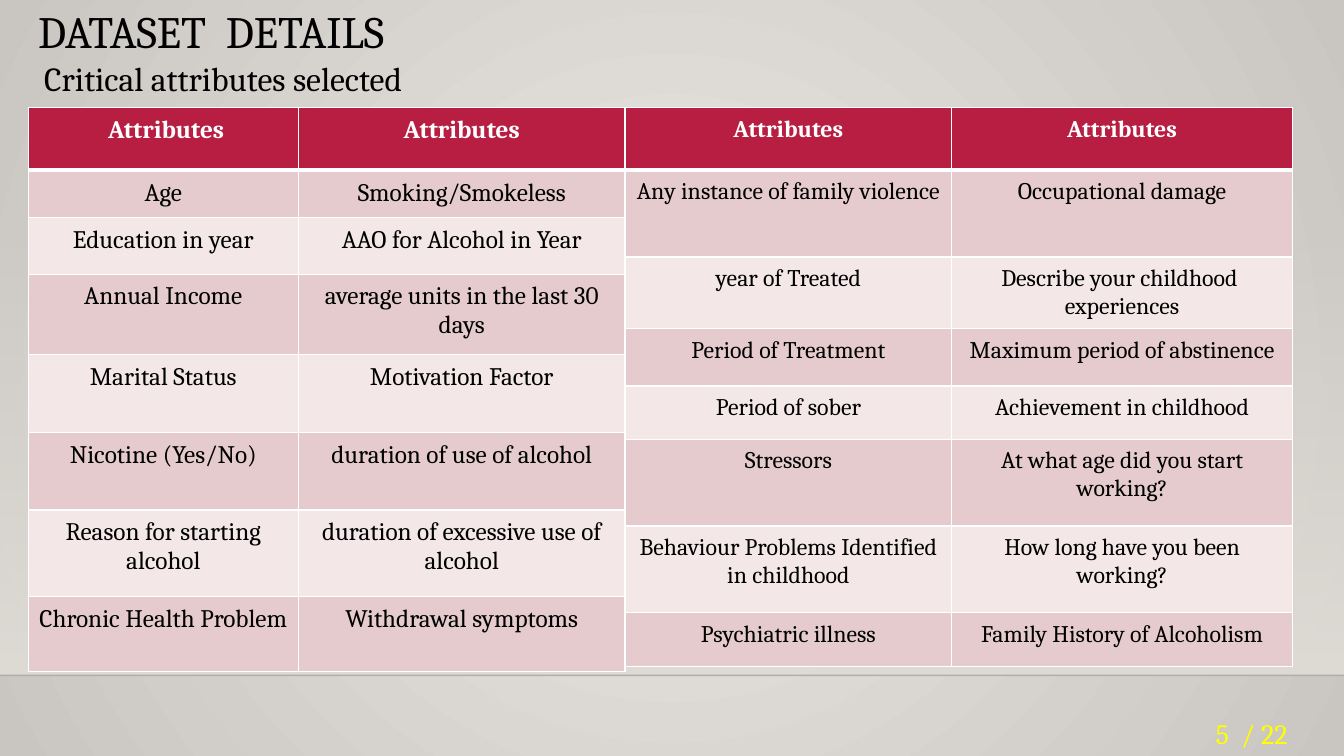
from lxml.etree import SubElement
from pptx import Presentation
from pptx.dml.color import RGBColor
from pptx.enum.shapes import MSO_CONNECTOR, MSO_SHAPE
from pptx.enum.text import MSO_AUTO_SIZE, PP_ALIGN
from pptx.oxml.ns import qn
from pptx.util import Inches, Pt

COLOURS = {
    "centre": "EBE9E6", "edge": "C9C5C0", "floor": "DFDBD5", "rule": "000001",
    "header": "B71E42", "band_dark": "E5CBCD", "band_light": "F3E7E8",
    "white": "FFFFFF", "text": "000000", "page": "FFFF00",
}

LEFT_ROWS = [
    (" Attributes", "Attributes"),
    ("Age", "Smoking/Smokeless"),
    ("Education in year", "AAO for Alcohol in Year"),
    ("Annual Income", "average units in the last 30 days"),
    ("Marital Status", "Motivation Factor"),
    ("Nicotine (Yes/No)", "duration of use of alcohol"),
    ("Reason for starting alcohol", "duration of excessive use of alcohol"),
    ("Chronic Health Problem", "Withdrawal symptoms"),
]
RIGHT_ROWS = [
    ("Attributes", "Attributes"),
    ("Any instance of family violence", "Occupational damage"),
    ("year of Treated", "Describe your childhood \nexperiences"),
    ("Period of Treatment", "Maximum period of abstinence"),
    ("Period of sober", "Achievement in childhood"),
    ("Stressors", "At what age did you start working?"),
    ("Behaviour Problems Identified in childhood",
     "How long have you been working?"),
    ("Psychiatric illness", "Family History of Alcoholism"),
]


def colour(name):
    return RGBColor.from_string(COLOURS[name])


class SlideBuilder:
    font = "Cambria"
    cell_inset = 0.08

    def __init__(self, slide):
        self.slide = slide

    def background(self, centre, edge):
        fill = self.slide.background.fill
        fill.gradient()
        for stop, name in zip(fill.gradient_stops, (centre, edge)):
            stop.color.rgb = colour(name)
        gradient = self.slide.background._cSld.find(".//" + qn("a:gradFill"))
        gradient.remove(gradient.find(qn("a:lin")))
        circle = SubElement(gradient, qn("a:path"), path="circle")
        SubElement(circle, qn("a:fillToRect"),
                   l="50000", t="50000", r="50000", b="50000")

    def fading_panel(self, left, top, width, height, name):
        """Rectangle that goes from clear at the top to solid at the bottom."""
        shape = self.slide.shapes.add_shape(
            MSO_SHAPE.RECTANGLE, Inches(left), Inches(top),
            Inches(width), Inches(height))
        shape.shadow.inherit = False
        shape.line.fill.background()
        shape.fill.gradient()
        shape.fill.gradient_angle = 270
        for stop in shape.fill.gradient_stops:
            stop.color.rgb = colour(name)
        first_stop = shape._element.spPr.find(".//" + qn("a:srgbClr"))
        SubElement(first_stop, qn("a:alpha"), val="0")

    def rule(self, left, right, y, name, opacity):
        line = self.slide.shapes.add_connector(
            MSO_CONNECTOR.STRAIGHT, Inches(left), Inches(y),
            Inches(right), Inches(y))
        line.line.width = Pt(1)
        line.line.color.rgb = colour(name)
        properties = line._element.spPr
        SubElement(properties.find(".//" + qn("a:srgbClr")), qn("a:alpha"),
                   val=str(opacity * 1000))
        SubElement(properties, qn("a:effectLst"))

    def run(self, paragraph, text, size, name, bold=False):
        run = paragraph.add_run()
        run.text = text
        run.font.name = self.font
        run.font.size = Pt(size)
        run.font.bold = bold
        run.font.color.rgb = colour(name)

    def text(self, left, top, width, height, text, size, name="text",
             align=PP_ALIGN.LEFT, right_inset=0.1):
        box = self.slide.shapes.add_textbox(
            Inches(left), Inches(top), Inches(width), Inches(height))
        frame = box.text_frame
        frame.word_wrap = True
        frame.auto_size = MSO_AUTO_SIZE.SHAPE_TO_FIT_TEXT
        frame.margin_right = Inches(right_inset)
        frame.paragraphs[0].alignment = align
        self.run(frame.paragraphs[0], text, size, name)

    def borders(self, cell, top, bottom):
        properties = cell._tc.get_or_add_tcPr()
        sides = {"a:lnL": 1, "a:lnR": 1, "a:lnT": top, "a:lnB": bottom}
        for index, (side, width) in enumerate(sides.items()):
            border = SubElement(properties, qn(side), w=str(Pt(width)))
            fill = SubElement(border, qn("a:solidFill"))
            SubElement(fill, qn("a:srgbClr"), val=COLOURS["white"])
            properties.insert(index, border)

    def cell(self, cell, text, size, row):
        is_header = row == 0
        band = "band_dark" if row % 2 else "band_light"
        cell.fill.solid()
        cell.fill.fore_color.rgb = colour("header" if is_header else band)
        cell.margin_left = cell.margin_right = Inches(self.cell_inset)
        cell.margin_top = cell.margin_bottom = Inches(self.cell_inset)
        self.borders(cell, top=3 if row == 1 else 1, bottom=3 if is_header else 1)
        frame = cell.text_frame
        for index, line in enumerate(text.split("\n")):
            paragraph = frame.add_paragraph() if index else frame.paragraphs[0]
            paragraph.alignment = PP_ALIGN.CENTER
            self.run(paragraph, line, size,
                     "white" if is_header else "text", bold=is_header)

    def table(self, left, top, widths, heights, rows, size):
        table = self.slide.shapes.add_table(
            len(heights), len(widths), Inches(left), Inches(top),
            Inches(sum(widths)), Inches(sum(heights))).table
        for column, width in zip(table.columns, widths):
            column.width = Inches(width)
        for row, (height, texts) in enumerate(zip(heights, rows)):
            table.rows[row].height = Inches(height)
            for column, text in enumerate(texts):
                self.cell(table.cell(row, column), text, size, row)


def main():
    presentation = Presentation()
    presentation.slide_width = Inches(13.33)
    presentation.slide_height = Inches(7.5)
    slide = presentation.slides.add_slide(presentation.slide_layouts[6])
    builder = SlideBuilder(slide)

    # Backdrop
    builder.background("centre", "edge")
    builder.fading_panel(0, 2.21, 13.33, 4.49, "floor")
    builder.rule(0, 13.33, 6.7, "rule", opacity=20)

    # Attribute tables, side by side
    builder.table(0.28, 1.07, [2.68, 3.24],
                  [0.62, 0.47, 0.56, 0.8, 0.77, 0.77, 0.86, 0.74],
                  LEFT_ROWS, 18)
    builder.table(6.2, 1.07, [3.24, 3.38],
                  [0.62, 0.86, 0.71, 0.57, 0.53, 0.86, 0.86, 0.53],
                  RIGHT_ROWS, 17)

    # Headings
    builder.text(0.28, -0.01, 8.85, 0.64, "DATASET  DETAILS", 32)
    builder.text(0.34, 0.53, 4.9, 0.5, "Critical attributes selected", 24)

    # Page number
    builder.text(11.65, 7.06, 1.68, 0.44, "5  / 22", 20, "page",
                 PP_ALIGN.RIGHT, right_inset=0.56)

    presentation.save("out.pptx")


if __name__ == "__main__":
    main()
